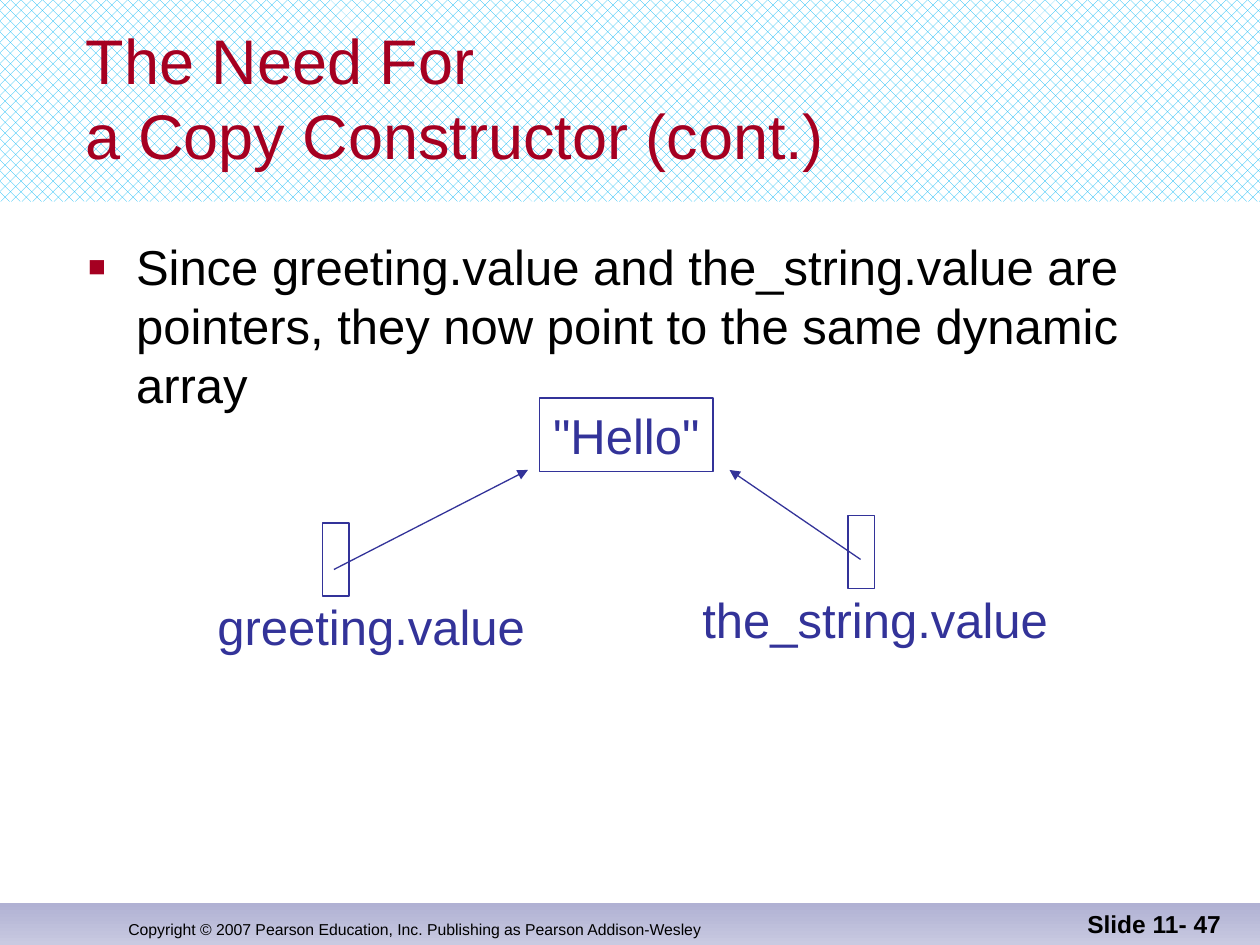
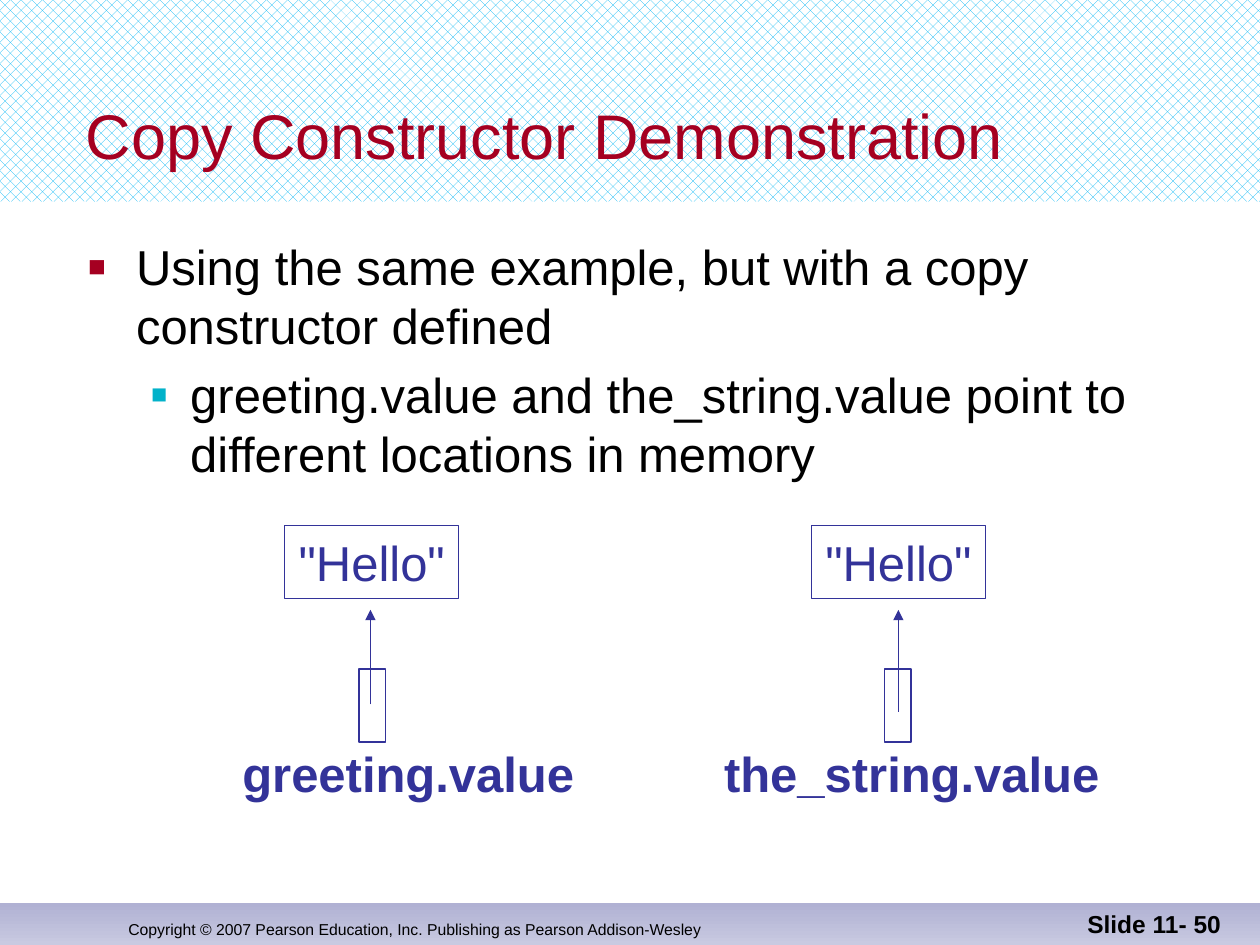
from lxml import etree
from pptx import Presentation
from pptx.dml.color import RGBColor
from pptx.enum import dml, shapes, text
from pptx.oxml.ns import qn
from pptx.util import Inches, Pt

FONT = "Arial"
TITLE_RED = RGBColor(0xA5, 0x00, 0x21)
BULLET_TEAL = RGBColor(0x02, 0xB2, 0xCA)
DIAGRAM_BLUE = RGBColor(0x33, 0x33, 0x99)
BAND_BLUE = RGBColor(0x00, 0xB6, 0xF6)
FOOTER_TOP = RGBColor(0xB0, 0xB1, 0xD3)
FOOTER_BOTTOM = RGBColor(0xC9, 0xCA, 0xE1)
BLACK = RGBColor(0, 0, 0)
WHITE = RGBColor(0xFF, 0xFF, 0xFF)
LEFT, CENTER, RIGHT = text.PP_ALIGN.LEFT, text.PP_ALIGN.CENTER, text.PP_ALIGN.RIGHT
TOP, MIDDLE, BOTTOM = text.MSO_ANCHOR.TOP, text.MSO_ANCHOR.MIDDLE, text.MSO_ANCHOR.BOTTOM

COPYRIGHT = "Copyright © 2007 Pearson Education, Inc. Publishing as Pearson Addison-Wesley"
BULLETS = [(0.38, 0.38, TITLE_RED, 60), (0.81, 0.31, BULLET_TEAL, 55)]
POINTER_SIZE = (0.21, 0.58)
STRING_SIZE = (1.38, 0.58)

lessons = [
    {
        "number": 47,
        "title": "The Need For\va Copy Constructor (cont.)",
        "points": ["Since greeting.value and the_string.value are\v"
                   "pointers, they now point to the same dynamic\varray"],
        "bold": False,
        "labels": [("greeting.value", 1.62, 4.68, 2.65), ("the_string.value", 5.47, 4.63, 2.95)],
        "pointers": [(2.56, 4.15), (6.73, 4.09)],
        "strings": [(4.28, 3.16)],
        "arrows": [(2.65, 4.52, 4.19, 3.73), (6.83, 4.44, 5.79, 3.73)],
    },
    {
        "number": 50,
        "title": "Copy Constructor Demonstration",
        "points": ["Using the same example, but with a copy\vconstructor defined",
                   "greeting.value and the_string.value point to\vdifferent locations in memory"],
        "bold": True,
        "labels": [("greeting.value", 1.82, 5.85, 2.84), ("the_string.value", 5.64, 5.85, 3.19)],
        "pointers": [(2.85, 5.31), (7.02, 5.31)],
        "strings": [(2.26, 4.17), (6.44, 4.17)],
        "arrows": [(2.94, 5.59, 2.94, 4.84), (7.13, 5.65, 7.13, 4.84)],
    },
]


def write(frame, content, size=28, color=BLACK, bold=False, align=LEFT,
          anchor=TOP, wrap=True, bullets=None):
    frame.word_wrap = wrap
    frame.auto_size = text.MSO_AUTO_SIZE.NONE
    frame.vertical_anchor = anchor
    for level, line in enumerate(content):
        paragraph = frame.paragraphs[0] if level == 0 else frame.add_paragraph()
        paragraph.text = line
        paragraph.alignment = align
        paragraph.space_before = Pt(0.2 * size if level else 0)
        if bullets:
            margin, hang, bullet_color, percent = bullets[level]
            paragraph.level = level
            props = paragraph._p.get_or_add_pPr()
            props.set("marL", str(Inches(margin)))
            props.set("indent", str(-Inches(hang)))
            tint = etree.SubElement(props, qn("a:buClr"))
            etree.SubElement(tint, qn("a:srgbClr"), val=str(bullet_color))
            etree.SubElement(props, qn("a:buSzPct"), val=str(percent * 1000))
            etree.SubElement(props, qn("a:buFont"), typeface=FONT)
            etree.SubElement(props, qn("a:buChar"), char="■")
        for run in paragraph.runs:
            run.font.name, run.font.size, run.font.bold = FONT, Pt(size), bold
            run.font.color.rgb = color
        for line_break in paragraph._p.findall(qn("a:br")):
            mark = etree.SubElement(line_break, qn("a:rPr"), sz=str(size * 100))
            etree.SubElement(mark, qn("a:latin"), typeface=FONT)


def add_box(slide, x, y, width, height):
    box = slide.shapes.add_shape(shapes.MSO_SHAPE.RECTANGLE, Inches(x), Inches(y),
                                 Inches(width), Inches(height))
    box.shadow.inherit = False
    box.fill.background()
    box.line.color.rgb = DIAGRAM_BLUE
    box.line.width = Pt(0.75)
    return box


prs = Presentation()
prs.slide_width, prs.slide_height = Inches(10), Inches(7.5)

for lesson in lessons:
    slide = prs.slides.add_slide(prs.slide_layouts[1])

    footer_band = add_box(slide, 0, 7.17, 10, 0.33)
    footer_band.line.fill.background()
    footer_band.fill.gradient()
    footer_band.fill.gradient_angle = 270
    for stop, shade in zip(footer_band.fill.gradient_stops, (FOOTER_TOP, FOOTER_BOTTOM)):
        stop.color.rgb = shade

    title_band = add_box(slide, 0, 0, 10, 1.6)
    title_band.line.fill.background()
    title_band.fill.patterned()
    title_band.fill.pattern = dml.MSO_PATTERN.from_xml("pct40")
    title_band.fill.fore_color.rgb = BAND_BLUE
    title_band.fill.back_color.rgb = WHITE

    footers = [
        (COPYRIGHT, 0.92, 4.92, {"size": 9}),
        (f"Slide 11- {lesson['number']}", 7.71, 2.08, {"size": 14, "bold": True, "align": RIGHT}),
    ]
    for words, x, width, style in footers:
        footer = slide.shapes.add_textbox(Inches(x), Inches(7), Inches(width), Inches(0.5))
        write(footer.text_frame, [words], anchor=BOTTOM, **style)

    for name, x, y, width in lesson["labels"]:
        label = slide.shapes.add_textbox(Inches(x), Inches(y), Inches(width), Inches(0.57))
        write(label.text_frame, [name], color=DIAGRAM_BLUE, bold=lesson["bold"],
              align=CENTER, anchor=MIDDLE, wrap=False)

    for x, y in lesson["pointers"]:
        add_box(slide, x, y, *POINTER_SIZE)

    for x, y in lesson["strings"]:
        string = add_box(slide, x, y, *STRING_SIZE)
        write(string.text_frame, ['"Hello"'], color=DIAGRAM_BLUE, align=CENTER,
              anchor=MIDDLE, wrap=False)

    for ends in lesson["arrows"]:
        arrow = slide.shapes.add_connector(shapes.MSO_CONNECTOR.STRAIGHT, *map(Inches, ends))
        arrow.line.color.rgb = DIAGRAM_BLUE
        arrow.line.width = Pt(0.75)
        outline = arrow._element.spPr.find(qn("a:ln"))
        etree.SubElement(outline, qn("a:tailEnd"), type="triangle")
        etree.SubElement(arrow._element.spPr, qn("a:effectLst"))

    title, body = slide.shapes.title, slide.placeholders[1]
    for holder, place in ((title, (0.58, 0.33, 9.08, 1.09)), (body, (0.6, 1.83, 9.07, 5))):
        holder.left, holder.top, holder.width, holder.height = map(Inches, place)
        slide.shapes._spTree.append(holder._element)
    write(title.text_frame, [lesson["title"]], size=36, color=TITLE_RED, anchor=BOTTOM)
    body.text_frame.margin_right = 0
    write(body.text_frame, lesson["points"], bullets=BULLETS)

prs.save("out.pptx")
